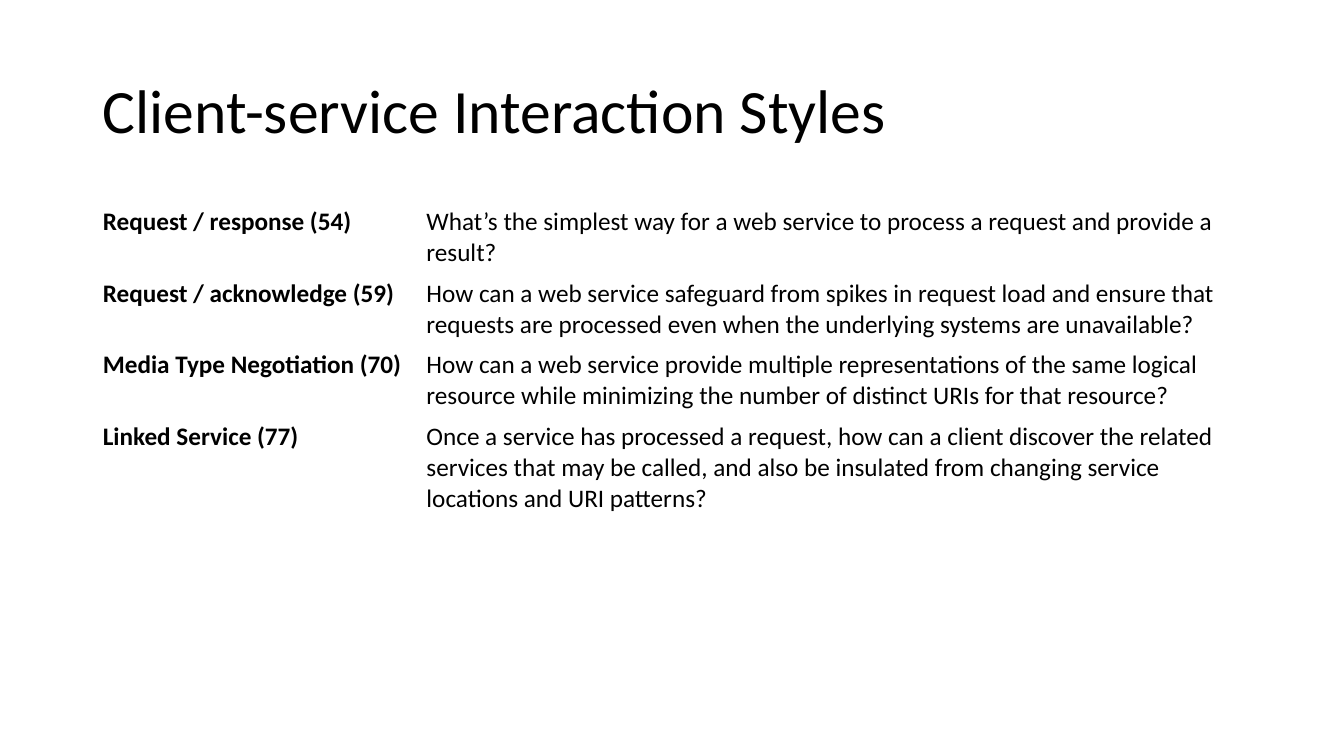
from pptx import Presentation
from pptx.dml.color import RGBColor
from pptx.enum.text import MSO_ANCHOR, PP_ALIGN
from pptx.util import Inches, Pt

BLACK = RGBColor(0, 0, 0)
FONT = "Calibri"
LEFT, WIDTH = 0.92, 11.5
COLUMN_WIDTHS = (3.21, 8.29)
ROW_HEIGHT = 0.41

STYLES = [
    ("Request / response (54)",
     "What’s the simplest way for a web service to process a request and "
     "provide a result?"),
    ("Request / acknowledge (59)",
     "How can a web service safeguard from spikes in request load and ensure "
     "that requests are processed even when the underlying systems are "
     "unavailable?"),
    ("Media Type Negotiation (70)",
     "How can a web service provide multiple representations of the same "
     "logical resource while minimizing the number of distinct URIs for that "
     "resource?"),
    ("Linked Service (77)",
     "Once a service has processed a request, how can a client discover the "
     "related services that may be called, and also be insulated from "
     "changing service locations and URI patterns?"),
]


def write(tf, text, size, bold=False):
    """Fill a text frame with one left-aligned paragraph and return it."""
    tf.text = text
    p = tf.paragraphs[0]
    p.alignment = PP_ALIGN.LEFT
    font = p.runs[0].font
    font.name, font.size, font.bold = FONT, Pt(size), bold
    font.color.rgb = BLACK
    return p


def add_title(s, text):
    """Place and format the slide title."""
    title = s.shapes.title
    title.left, title.top = Inches(LEFT), Inches(0.4)
    title.width, title.height = Inches(WIDTH), Inches(1.45)
    title.text_frame.vertical_anchor = MSO_ANCHOR.MIDDLE
    write(title.text_frame, text, 44).line_spacing = 0.9


def add_style_table(s, rows):
    """Add the unfilled table of style names and the questions they answer."""
    table = s.shapes.add_table(
        len(rows), len(COLUMN_WIDTHS), Inches(LEFT), Inches(2),
        Inches(WIDTH), Inches(ROW_HEIGHT * len(rows))).table
    table.first_row = table.horz_banding = False
    # "No Style, No Grid" removes the default cell borders
    style_id = table._tbl.tblPr.find("{*}tableStyleId")
    style_id.text = "{2D5ABB26-0587-4C30-8999-92F81FD0307C}"
    for column, width in zip(table.columns, COLUMN_WIDTHS):
        column.width = Inches(width)
    for row, texts in zip(table.rows, rows):
        row.height = Inches(ROW_HEIGHT)
        for i, (cell, text) in enumerate(zip(row.cells, texts)):
            cell.fill.background()
            write(cell.text_frame, text, 18, bold=i == 0)


def main():
    """Build and save the slide."""
    prs = Presentation()
    prs.slide_width, prs.slide_height = Inches(13.33), Inches(7.5)
    s = prs.slides.add_slide(prs.slide_layouts[5])
    add_title(s, "Client-service Interaction Styles")
    add_style_table(s, STYLES)
    prs.save("out.pptx")


main()
